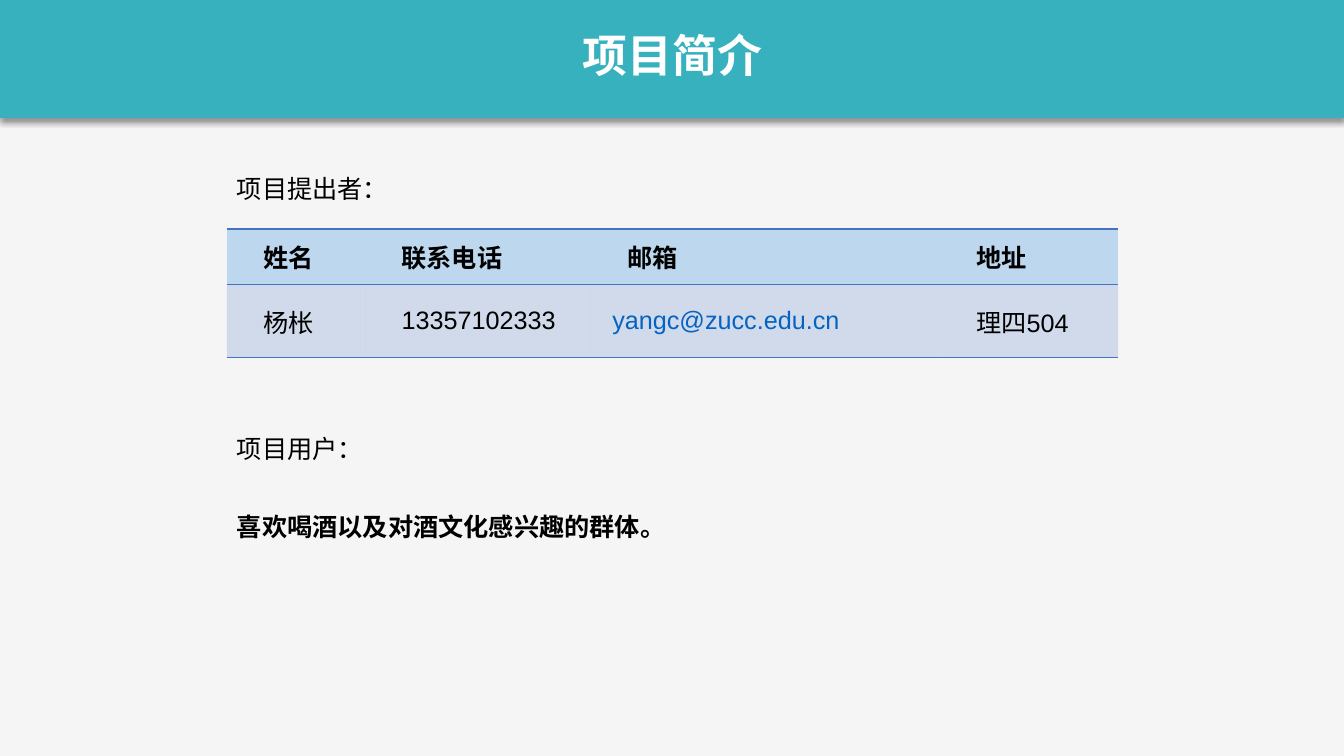
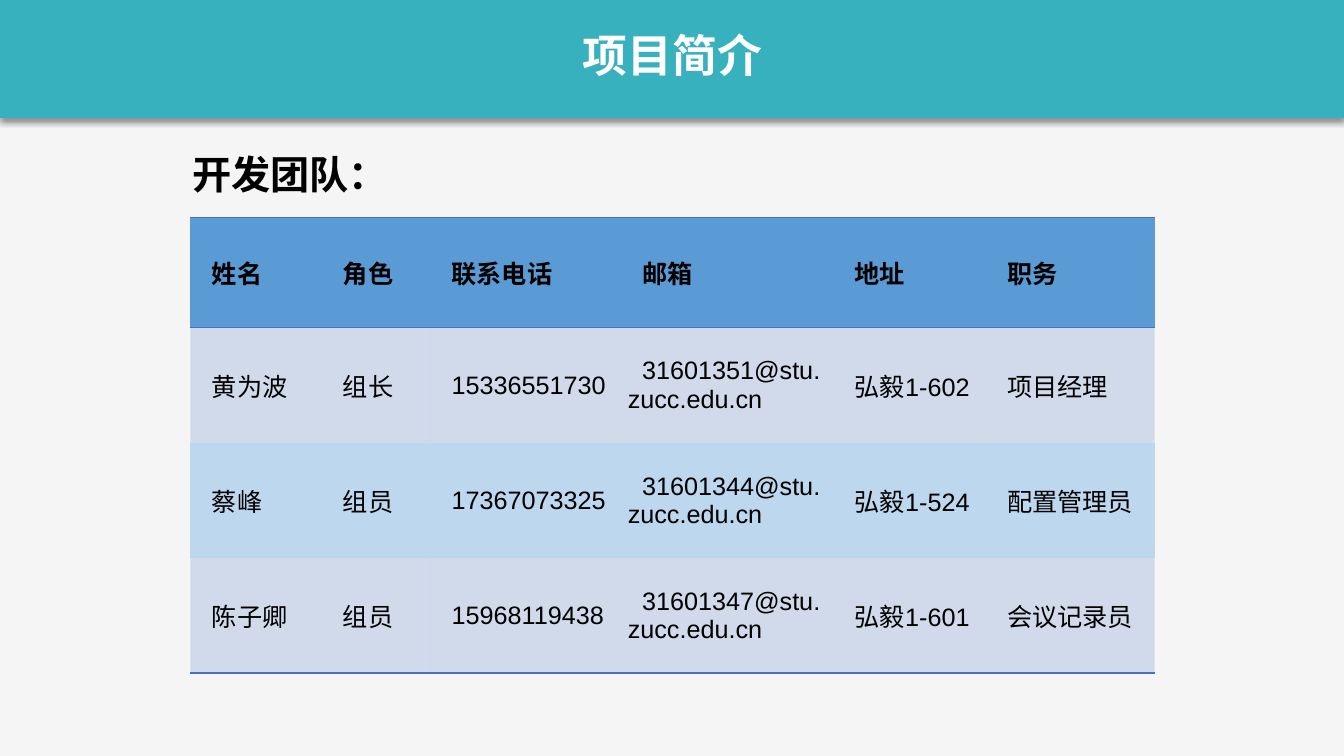
from lxml import etree
from pptx import Presentation
from pptx import util as u
from pptx.dml.color import RGBColor
from pptx.enum import shapes, text
from pptx.oxml import ns, parse_xml

COLORS = {
    "page": "F5F5F5", "band": "38B1BF", "white": "FFFFFF", "black": "000000",
    "rule": "4472C4", "pale": "BDD7EE", "blue": "5B9BD5", "link": "0563C1",
}
RGB = {name: RGBColor.from_string(value) for name, value in COLORS.items()}
NO_STYLE = "{2D5ABB26-0587-4C30-8999-92F81FD0307C}"
SHADOW = f"""<a:effectLst {ns.nsdecls('a')}>
  <a:outerShdw blurRad="50800" dist="38100" dir="5400000" algn="t" rotWithShape="0">
    <a:srgbClr val="{COLORS['black']}"><a:alpha val="40000"/></a:srgbClr>
  </a:outerShdw></a:effectLst>"""

prs = Presentation()
prs.slide_width, prs.slide_height = u.Cm(33.87), u.Cm(19.05)


def add_text(s, words, left, top, width, height, size=18, font="Calibri",
             color="black", bold=False, centred=False):
    box = s.shapes.add_textbox(u.Cm(left), u.Cm(top), u.Cm(width), u.Cm(height))
    tf = box.text_frame
    tf.word_wrap = not centred
    tf.auto_size = text.MSO_AUTO_SIZE.SHAPE_TO_FIT_TEXT
    p = tf.paragraphs[0]
    p.text = words
    if centred:
        p.alignment = text.PP_ALIGN.CENTER
    p.font.size, p.font.name, p.font.bold = u.Pt(size), font, bold
    p.font.color.rgb = RGB[color]


def add_grid(s, rows, left, top, widths, heights, header, indent, align=None):
    frame = s.shapes.add_table(len(rows), len(widths), u.Cm(left), u.Cm(top),
                               u.Cm(sum(widths)), u.Cm(sum(heights)))
    frame.element.find(".//" + ns.qn("a:tableStyleId")).text = NO_STYLE
    table = frame.table
    for column, width in zip(table.columns, widths):
        column.width = u.Cm(width)
    for i, (row, height) in enumerate(zip(rows, heights)):
        table.rows[i].height = u.Cm(height)
        for j, words in enumerate(row):
            cell = table.cell(i, j)
            cell.vertical_anchor = text.MSO_ANCHOR.MIDDLE
            cell.margin_left = cell.margin_right = u.Cm(0.18)
            cell.margin_top = cell.margin_bottom = 0

            # Text with a first-line indent
            p = cell.text_frame.paragraphs[0]
            p.text = words
            p.alignment = align
            is_link = "@" in words and header == "pale"
            first = 0.36 if is_link else indent
            p._p.get_or_add_pPr().set("indent", str(u.Cm(first)))
            p.font.size, p.font.name, p.font.bold = u.Pt(18), "Arial", i == 0
            p.font.color.rgb = RGB["link" if is_link else "black"]

            # Header fill, then translucent and pale rows in turn
            fill = header if i == 0 else "rule" if i % 2 else "pale"
            cell.fill.solid()
            cell.fill.fore_color.rgb = RGB[fill]
            tcPr = cell._tc.get_or_add_tcPr()
            if fill == "rule":
                clr = tcPr.find(".//" + ns.qn("a:srgbClr"))
                etree.SubElement(clr, ns.qn("a:alpha")).set("val", "20000")

            # Rules above and below the header and under the last row
            sides = ["lnB"] if i in (0, len(rows) - 1) else []
            if i == 0:
                sides.append("lnT")
            for side in sides:
                tcPr.insert(0, parse_xml(
                    f'<a:{side} {ns.nsdecls("a")} w="12700"><a:solidFill>'
                    f'<a:srgbClr val="{COLORS["rule"]}"/></a:solidFill></a:{side}>'))


# Shared page: background, title band and title
pages = []
for _ in range(2):
    s = prs.slides.add_slide(prs.slide_layouts[6])
    s.background.fill.solid()
    s.background.fill.fore_color.rgb = RGB["page"]
    band = s.shapes.add_shape(shapes.MSO_SHAPE.RECTANGLE, 0, u.Cm(-0.15),
                              prs.slide_width, u.Cm(3.12))
    band.fill.solid()
    band.fill.fore_color.rgb = RGB["band"]
    band.line.fill.background()
    band._element.spPr.append(parse_xml(SHADOW))
    add_text(s, "项目简介", 14.43, 0.58, 5.03, 1.63, size=32,
             font="Noto Sans CJK SC", color="white", bold=True, centred=True)
    pages.append(s)
intro, team = pages

# Slide 1: proposer and users
add_grid(intro, [
    ["姓名", "联系电话", "邮箱", "地址"],
    ["杨枨", "13357102333", "yangc@zucc.edu.cn", "理四504"],
], 5.72, 5.77, [3.48, 5.69, 8.79, 4.5], [1.4, 1.84], "pale", 0.74)
add_text(intro, "项目提出者：", 5.72, 4.24, 10.03, 1.02)
add_text(intro, "项目用户：", 5.72, 10.8, 4.17, 1.02)
add_text(intro, "喜欢喝酒以及对酒文化感兴趣的群体。", 5.72, 12.75, 18.64, 1.02, bold=True)

# Slide 2: development team
add_grid(team, [
    ["姓名", "角色", "联系电话", "邮箱", "地址", "职务"],
    ["黄为波", "组长", "15336551730", "31601351@stu.zucc.edu.cn", "弘毅1-602", "项目经理"],
    ["蔡峰", "组员", "17367073325", "31601344@stu.zucc.edu.cn", "弘毅1-524", "配置管理员"],
    ["陈子卿", "组员", "15968119438", "31601347@stu.zucc.edu.cn", "弘毅1-601", "会议记录员"],
], 4.8, 5.49, [3.3, 2.74, 4.8, 5.36, 3.84, 4.26], [2.77] + [2.9] * 3,
    "blue", 0.36, text.PP_ALIGN.JUSTIFY)
add_text(team, "开发团队：", 4.6, 3.66, 7.92, 1.45, size=28, bold=True)

prs.save("out.pptx")
